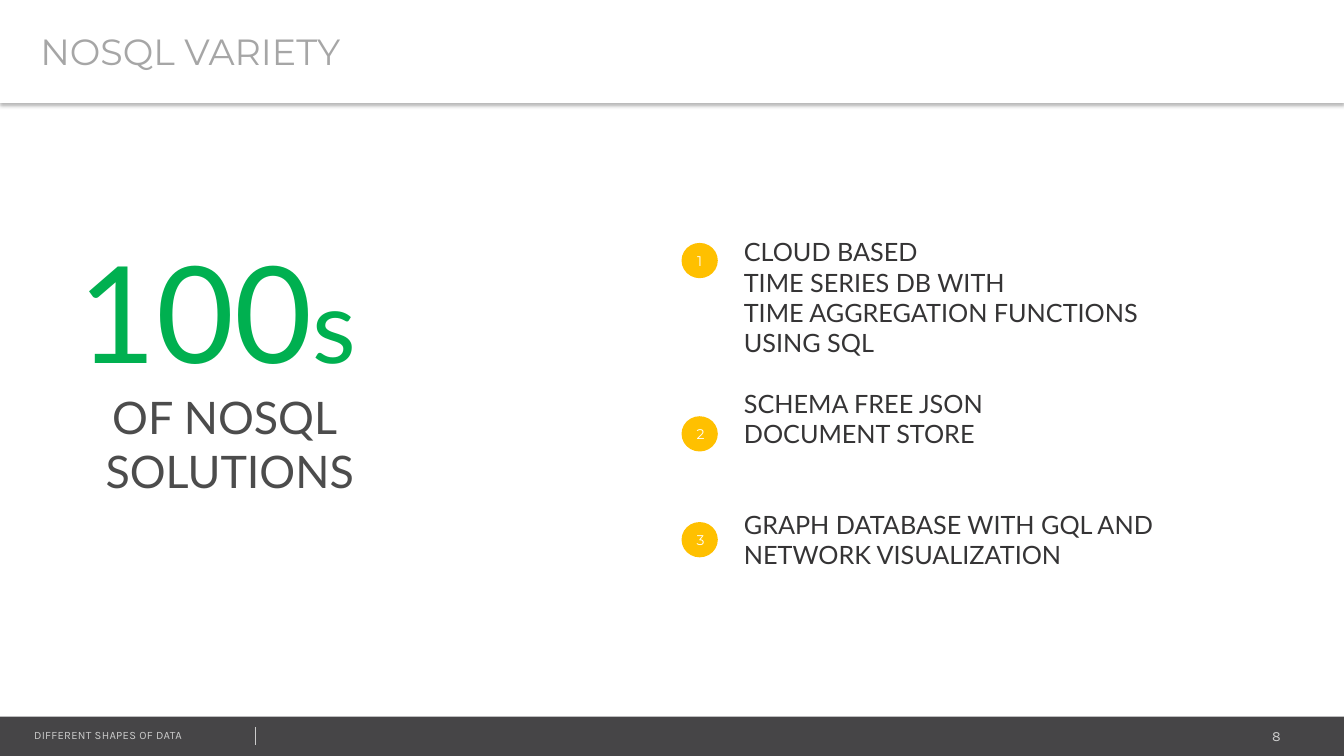
"""Build the NoSQL variety slide: a headline figure beside three numbered solutions."""
from dataclasses import dataclass

from lxml.etree import SubElement
from pptx import Presentation
from pptx.dml.color import RGBColor
from pptx.enum.shapes import MSO_CONNECTOR as Link, MSO_SHAPE as Preset
from pptx.enum.text import MSO_ANCHOR as Anchor, PP_ALIGN as Align
from pptx.oxml.ns import qn
from pptx.util import Inches, Pt

TITLE = "NOSQL VARIETY"
FOOTER, PAGE = "DIFFERENT SHAPES OF DATA", "8"
FIGURE, FIGURE_SUFFIX = "100", "s "
CAPTION = ["OF NOSQL ", "SOLUTIONS"]
SOLUTIONS = [
    {"badge_row": 0, "gap_rows": 0, "lines": [
        "CLOUD BASED", "TIME SERIES DB WITH",
        "TIME AGGREGATION FUNCTIONS", "USING SQL"]},
    {"badge_row": 5.73, "gap_rows": 1, "lines": ["SCHEMA FREE JSON", "DOCUMENT STORE"]},
    {"badge_row": 9.23, "gap_rows": 2, "lines": [
        "GRAPH DATABASE WITH GQL AND", "NETWORK VISUALIZATION"]},
]


@dataclass(frozen=True)
class Theme:
    white: str = "FFFFFF"
    bar: str = "464547"
    pale: str = "CCCCCC"
    title: str = "A6A6A6"
    figure: str = "00B050"
    caption: str = "4C4C4C"
    body: str = "353435"
    badge: str = "FFC000"
    body_font: str = "Lato"
    head_font: str = "Montserrat"
    foot_font: str = "Karla"
    figure_size: int = 96
    suffix_size: int = 72
    caption_size: int = 32
    title_size: int = 26
    body_size: int = 18
    small_size: int = 10
    footer_size: int = 8


T = Theme()
WIDTH, HEIGHT = 13.33, 7.5
BAR_TOP = 7.11
ROW_PT = T.body_size * 1.2
ROW = ROW_PT / 72
BADGE_LEFT, BADGE_TOP, BADGE_W, BADGE_H = 6.76, 2.41, 0.36, 0.35

deck = Presentation()
deck.slide_width, deck.slide_height = Inches(WIDTH), Inches(HEIGHT)
slide = deck.slides.add_slide(deck.slide_layouts[6])


def write(frame, text, *, size, color, font, align=Align.LEFT, before=0,
          spacing=0, new=False, join=False):
    """Put a run in the frame's first, last or a new paragraph."""
    line = frame.add_paragraph() if new else frame.paragraphs[-1]
    if not join:
        line.alignment = align
        line.space_before = Pt(before)
    run = line.add_run()
    run.text = text
    run.font.size, run.font.name = Pt(size), font
    run.font.color.rgb = RGBColor.from_string(color)
    if spacing:
        run.font._element.set("spc", str(round(spacing * 100)))


def panel(preset, left, top, width, height, fill):
    shape = slide.shapes.add_shape(preset, *map(Inches, (left, top, width, height)))
    shape.shadow.inherit = False
    shape.fill.solid()
    shape.fill.fore_color.rgb = RGBColor.from_string(fill)
    shape.line.fill.background()
    shape.text_frame.vertical_anchor = Anchor.MIDDLE
    return shape


def text_area(left, top, width, height, wrap=True):
    frame = slide.shapes.add_textbox(*map(Inches, (left, top, width, height))).text_frame
    frame.word_wrap = wrap
    return frame


def drop_shadow(shape):
    effects = shape._element.spPr.find(qn("a:effectLst"))
    shadow = SubElement(effects, qn("a:outerShdw"), blurRad=str(Pt(3.1)), dist=str(Pt(2)),
                        dir="5400000", algn="t", rotWithShape="0")
    tint = SubElement(shadow, qn("a:srgbClr"), val="000000")
    SubElement(tint, qn("a:alpha"), val="30000")


panel(Preset.RECTANGLE, 0, BAR_TOP, WIDTH, HEIGHT - BAR_TOP, T.bar)
write(text_area(10.62, 7.17, 2.18, 0.27), PAGE, size=T.small_size, color=T.pale,
      font=T.foot_font, align=Align.RIGHT)
write(text_area(0.24, 7.18, 3.38, 0.24), FOOTER, size=T.footer_size, color=T.pale,
      font=T.foot_font, spacing=0.2)
divider = slide.shapes.add_connector(Link.STRAIGHT, *map(Inches, (2.53, 7.21, 2.53, 7.39)))
divider.line.color.rgb = RGBColor.from_string(T.pale)
divider.line.width = Pt(0.25)
SubElement(divider._element.spPr, qn("a:effectLst"))

header = panel(Preset.RECTANGLE, 0, 0, WIDTH, 1.02, T.white)
drop_shadow(header)
header.text_frame.margin_left = Inches(0.4)
write(header.text_frame, TITLE, size=T.title_size, color=T.title, font=T.head_font)

headline = text_area(0.61, 2.22, 3.34, 2.8, wrap=False)
write(headline, FIGURE, size=T.figure_size, color=T.figure, font=T.body_font, align=Align.CENTER)
write(headline, FIGURE_SUFFIX, size=T.suffix_size, color=T.figure, font=T.body_font, join=True)
for words in CAPTION:
    write(headline, words, size=T.caption_size, color=T.caption, font=T.body_font,
          align=Align.CENTER, new=True)

listing = text_area(7.28, 2.3, 4.4, 3.43, wrap=False)
for number, solution in enumerate(SOLUTIONS, 1):
    for index, words in enumerate(solution["lines"]):
        write(listing, words, size=T.body_size, color=T.body, font=T.body_font,
              before=0 if index else solution["gap_rows"] * ROW_PT, new=number + index > 1)
    badge = panel(Preset.OVAL, BADGE_LEFT, BADGE_TOP + solution["badge_row"] * ROW,
                  BADGE_W, BADGE_H, T.badge)
    write(badge.text_frame, str(number), size=T.small_size, color=T.white,
          font=T.head_font, align=Align.CENTER)

deck.save("out.pptx")
